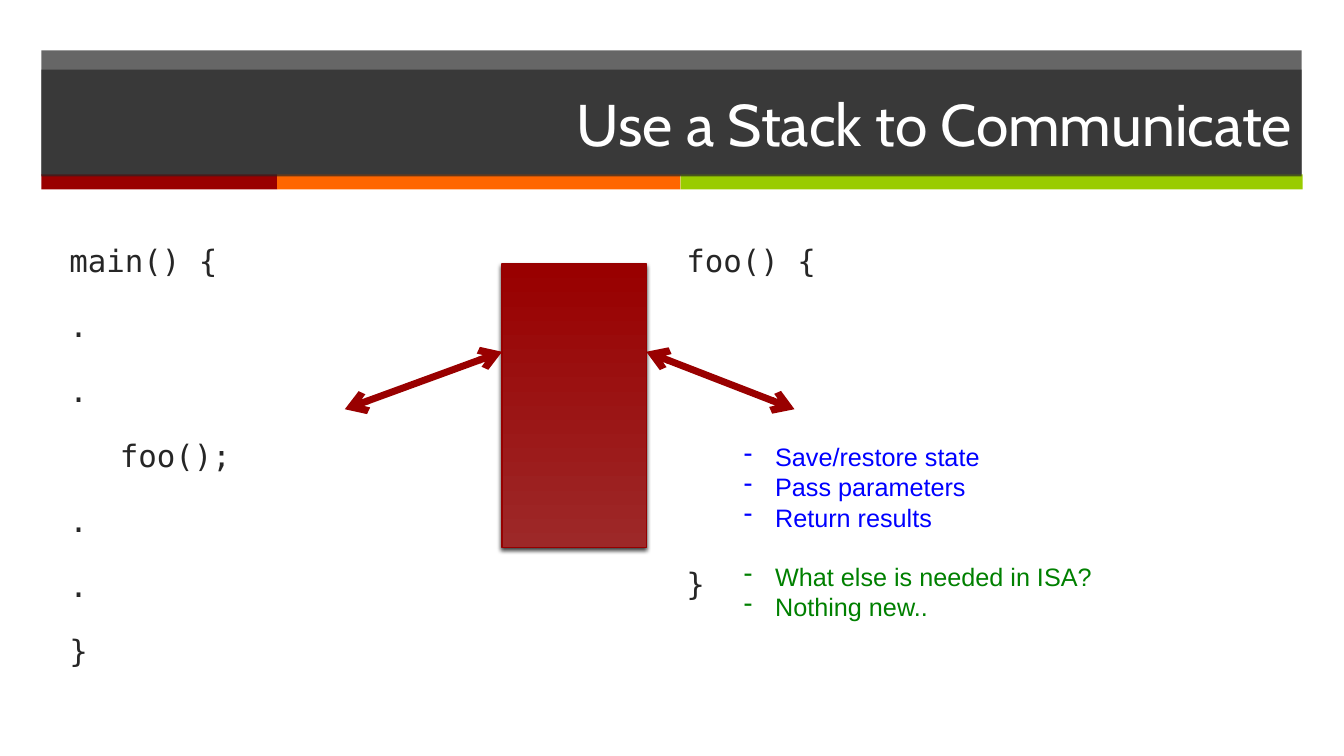
from lxml import etree
from pptx import Presentation
from pptx.dml.color import RGBColor as RGB
from pptx.enum.shapes import MSO_CONNECTOR as LINK, MSO_SHAPE as SHAPE
from pptx.enum.text import MSO_ANCHOR as ANCHOR, PP_ALIGN as ALIGN
from pptx.oxml import parse_xml
from pptx.oxml.ns import nsdecls, qn
from pptx.util import Inches, Pt

HUES = {"dark": "262626", "red": "990000", "orange": "FF6600", "lime": "99CC00",
        "rose": "9D2828", "edge": "960000", "white": "FFFFFF",
        "blue": "0000FF", "green": "008000"}
TITLE = {"name": "Cabin", "size": Pt(42)}
CODE = {"name": "DejaVu Sans Mono", "size": Pt(22)}
NOTE = {"name": "Arial", "size": Pt(18)}


def add_rect(left, top, width, height, hue, alpha=100):
    """Add a plain rectangle; alpha is its opacity in percent."""
    rect = shapes.add_shape(SHAPE.RECTANGLE, Inches(left), Inches(top),
                            Inches(width), Inches(height))
    rect.shadow.inherit = False
    rect.line.fill.background()
    rect.fill.solid()
    rect.fill.fore_color.rgb = RGB.from_string(HUES[hue])
    if alpha < 100:
        color = rect._element.spPr.find(qn("a:solidFill"))[0]
        etree.SubElement(color, qn("a:alpha"), val=str(alpha * 1000))
    return rect


def write(para, text, style, hue):
    para.text = text
    for key, value in style.items():
        setattr(para.font, key, value)
    para.font.color.rgb = RGB.from_string(HUES[hue])


deck = Presentation()
deck.slide_width, deck.slide_height = Inches(13.33), Inches(7.5)
shapes = deck.slides.add_slide(deck.slide_layouts[6]).shapes

# Title band with its three-colour strip
add_rect(0.41, 0.5, 12.5, 1.24, "dark", 70)
for left, width, hue in [(0.41, 2.34, "red"), (2.75, 4, "orange"), (6.75, 6.17, "lime")]:
    add_rect(left, 1.73, width, 0.15, hue)
frame = add_rect(0.41, 0.69, 12.5, 1.06, "dark", 70).text_frame
frame.word_wrap = True
frame.vertical_anchor = ANCHOR.MIDDLE
frame.paragraphs[0].alignment = ALIGN.RIGHT
write(frame.paragraphs[0], "Use a Stack to Communicate", TITLE, "white")

# Code of caller and callee: each line with its space before
caller = [("main() {", 0)] + [(line, 20) for line in (".", ".", "\tfoo();", ".", ".", "}")]
callee = [("foo() {", 0), ("}", 204)]
for left, width, code in [(0.59, 5.73, caller), (6.71, 4.3, callee)]:
    frame = shapes.add_textbox(Inches(left), Inches(2.35), Inches(width), Inches(4.35)).text_frame
    frame.word_wrap = True
    for i, (line, gap) in enumerate(code):
        para = frame.add_paragraph() if i else frame.paragraphs[0]
        para.space_before = Pt(gap)
        write(para, line, CODE, "dark")

# The stack
stack = add_rect(4.98, 2.62, 1.43, 2.81, "red")
stack.fill.gradient()
stack.fill.gradient_angle = 90
for stop, hue in zip(stack.fill.gradient_stops, ("rose", "red")):
    stop.color.rgb = RGB.from_string(HUES[hue])
for stop, place in zip(stack.fill.gradient_stops, (0, 1)):
    stop.position = place
stack.line.color.rgb = RGB.from_string(HUES["edge"])
stack.line.width = Pt(1)
stack._element.spPr.find(qn("a:effectLst")).append(parse_xml(
    f'<a:outerShdw {nsdecls("a")} blurRad="{Pt(3)}" dist="{Pt(2)}" dir="{110 * 60000}"'
    ' rotWithShape="0"><a:srgbClr val="000000"><a:alpha val="75000"/></a:srgbClr></a:outerShdw>'))

# Two-way arrows between the code and the stack
for x1, y1, x2, y2 in [(3.42, 4.06, 4.98, 3.49), (6.41, 3.49, 7.88, 4.06)]:
    arrow = shapes.add_connector(LINK.STRAIGHT, Inches(x1), Inches(y1), Inches(x2), Inches(y2))
    arrow.line.color.rgb = RGB.from_string(HUES["red"])
    arrow.line.width = Pt(5)
    for end in ("a:headEnd", "a:tailEnd"):
        etree.SubElement(arrow.line._get_or_add_ln(), qn(end), type="arrow")
    etree.SubElement(arrow._element.spPr, qn("a:effectLst"))

# Notes on what the stack is for
notes = [("Save/restore state", "blue", 0), ("Pass parameters", "blue", 0),
         ("Return results", "blue", 0), ("What else is needed in ISA?", "green", 21),
         ("Nothing new..", "green", 0)]
frame = shapes.add_textbox(Inches(7.28), Inches(4.33), Inches(4.07), Inches(1.92)).text_frame
frame.word_wrap = True
for i, (line, hue, gap) in enumerate(notes):
    para = frame.add_paragraph() if i else frame.paragraphs[0]
    para.space_before = Pt(gap)
    props = para._p.get_or_add_pPr()
    props.set("marL", str(Inches(0.31)))
    props.set("indent", str(-Inches(0.31)))
    etree.SubElement(props, qn("a:buChar"), char="-")
    write(para, line, NOTE, hue)

deck.save("out.pptx")
